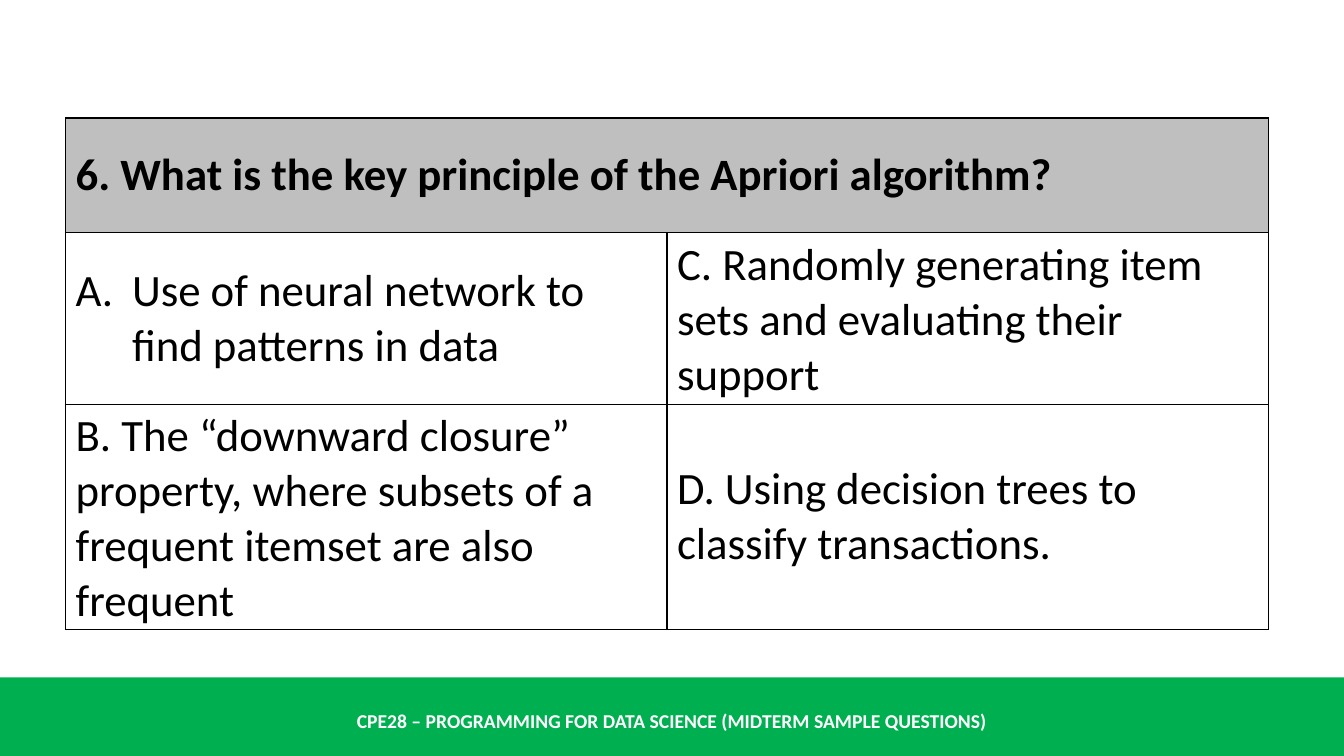
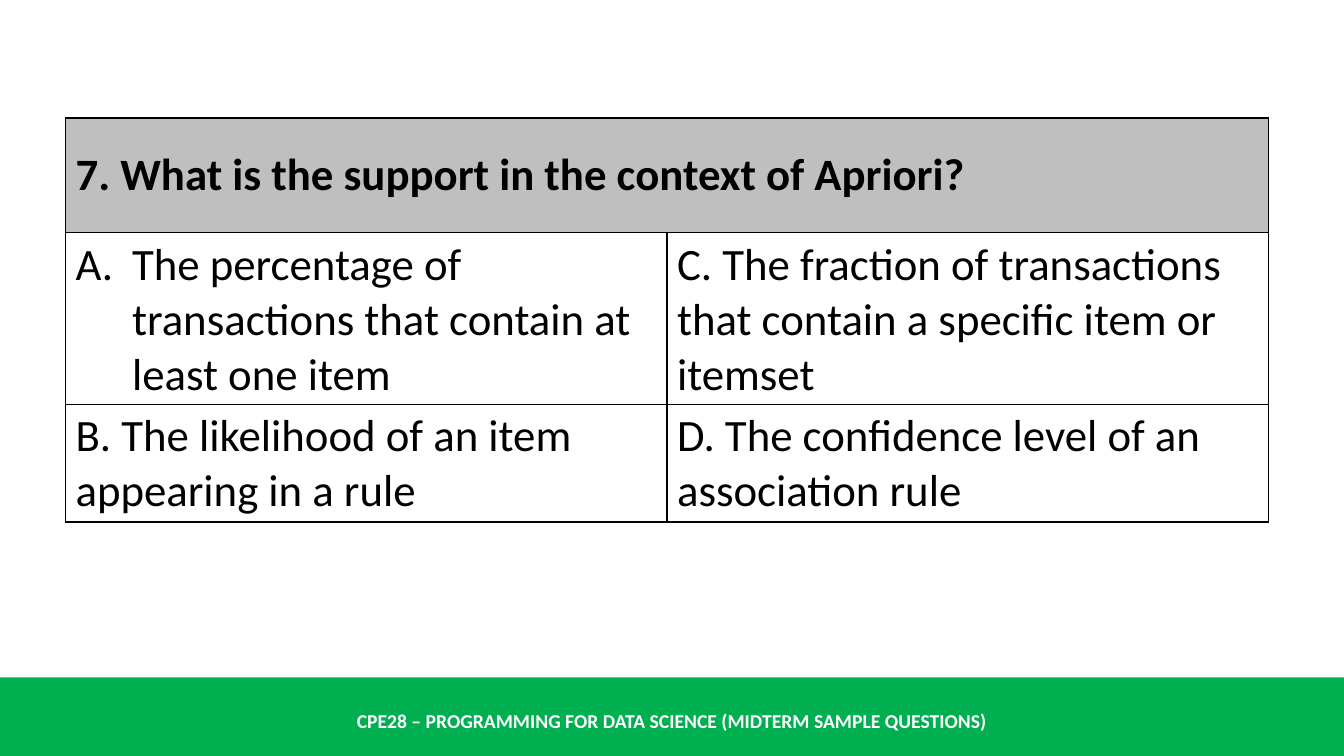
"""Build two multiple-choice question slides with a shared footer band."""
from lxml.etree import SubElement
from pptx import Presentation
from pptx.dml.color import RGBColor
from pptx.enum.shapes import MSO_SHAPE as Shape
from pptx.enum.text import MSO_ANCHOR as Anchor, PP_ALIGN as Align
from pptx.oxml import parse_xml
from pptx.oxml.ns import nsdecls, qn
from pptx.util import Inches, Pt

BLACK = RGBColor(0x00, 0x00, 0x00)
WHITE = RGBColor(0xFF, 0xFF, 0xFF)
GREEN = RGBColor(0x00, 0xB0, 0x50)
GREY = RGBColor(0xBF, 0xBF, 0xBF)

WIDE, HIGH = 13.33, 7.5
BAND = 6.72
LEFT, TOP, SPAN, ROW = 0.65, 1.17, 11.93, 1.14
HANG = 0.56

ASK = {"name": "Calibri", "size": Pt(32), "bold": True}
PICK = {**ASK, "bold": False}
FOOT = {**ASK, "size": Pt(14)}

COURSE = "CPE28 – PROGRAMMING FOR DATA SCIENCE (MIDTERM SAMPLE QUESTIONS)"
QUIZ = [
    ("6. What is the key principle of the Apriori algorithm?",
     [("Use of neural network to find patterns in data",
       "C. Randomly generating item sets and evaluating their support"),
      ("B. The “downward closure” property, where subsets of a frequent "
       "itemset are also frequent",
       "D. Using decision trees to classify transactions.")]),
    ("7. What is the support in the context of Apriori?",
     [("The percentage of transactions that contain at least one item",
       "C. The fraction of transactions that contain a specific item or itemset"),
      ("B. The likelihood of an item appearing in a rule",
       "D. The confidence level of an association rule")]),
]


def write(para, text, style, color):
    run = para.add_run()
    run.text = text
    for key, value in style.items():
        setattr(run.font, key, value)
    run.font.color.rgb = color


def add_foot(slide):
    band = slide.shapes.add_shape(Shape.RECTANGLE, 0, Inches(BAND),
                                  Inches(WIDE), Inches(HIGH - BAND))
    band.shadow.inherit = False
    band.fill.solid()
    band.fill.fore_color.rgb = GREEN
    band.line.fill.background()
    box = slide.shapes.add_textbox(0, Inches(6.95), Inches(WIDE), Inches(0.4))
    frame = box.text_frame
    frame.word_wrap = True
    frame.vertical_anchor = Anchor.MIDDLE
    para = frame.paragraphs[0]
    para.alignment = Align.CENTER
    write(para, COURSE, FOOT, WHITE)


def add_edges(cell):
    props = cell._tc.get_or_add_tcPr()
    for spot, side in enumerate("LRTB"):
        props.insert(spot, parse_xml(
            f'<a:ln{side} {nsdecls("a")} w="{Pt(1)}"><a:solidFill>'
            f'<a:srgbClr val="{BLACK}"/></a:solidFill></a:ln{side}>'))


def add_letter(para):
    props = para._p.get_or_add_pPr()
    props.set("marL", str(Inches(HANG)))
    props.set("indent", str(-Inches(HANG)))
    SubElement(props, qn("a:buFont"), typeface="+mj-lt")
    SubElement(props, qn("a:buAutoNum"), type="alphaUcPeriod")


def add_quiz(slide, ask, picks):
    rows = [(ask, "")] + picks
    table = slide.shapes.add_table(len(rows), 2, Inches(LEFT), Inches(TOP),
                                   Inches(SPAN), Inches(ROW * len(rows))).table
    table.first_row = table.horz_banding = False
    table.cell(0, 0).merge(table.cell(0, 1))
    for r, texts in enumerate(rows):
        for c, text in enumerate(texts):
            cell = table.cell(r, c)
            cell.vertical_anchor = Anchor.MIDDLE
            if r == 0:
                cell.fill.solid()
                cell.fill.fore_color.rgb = GREY
            else:
                cell.fill.background()
            add_edges(cell)
            para = cell.text_frame.paragraphs[0]
            if (r, c) == (1, 0):
                add_letter(para)
            if text:
                write(para, text, PICK if r else ASK, BLACK)


def main():
    deck = Presentation()
    deck.slide_width, deck.slide_height = Inches(WIDE), Inches(HIGH)
    for ask, picks in QUIZ:
        slide = deck.slides.add_slide(deck.slide_layouts[6])
        add_foot(slide)
        add_quiz(slide, ask, picks)
    deck.save("out.pptx")


if __name__ == "__main__":
    main()
